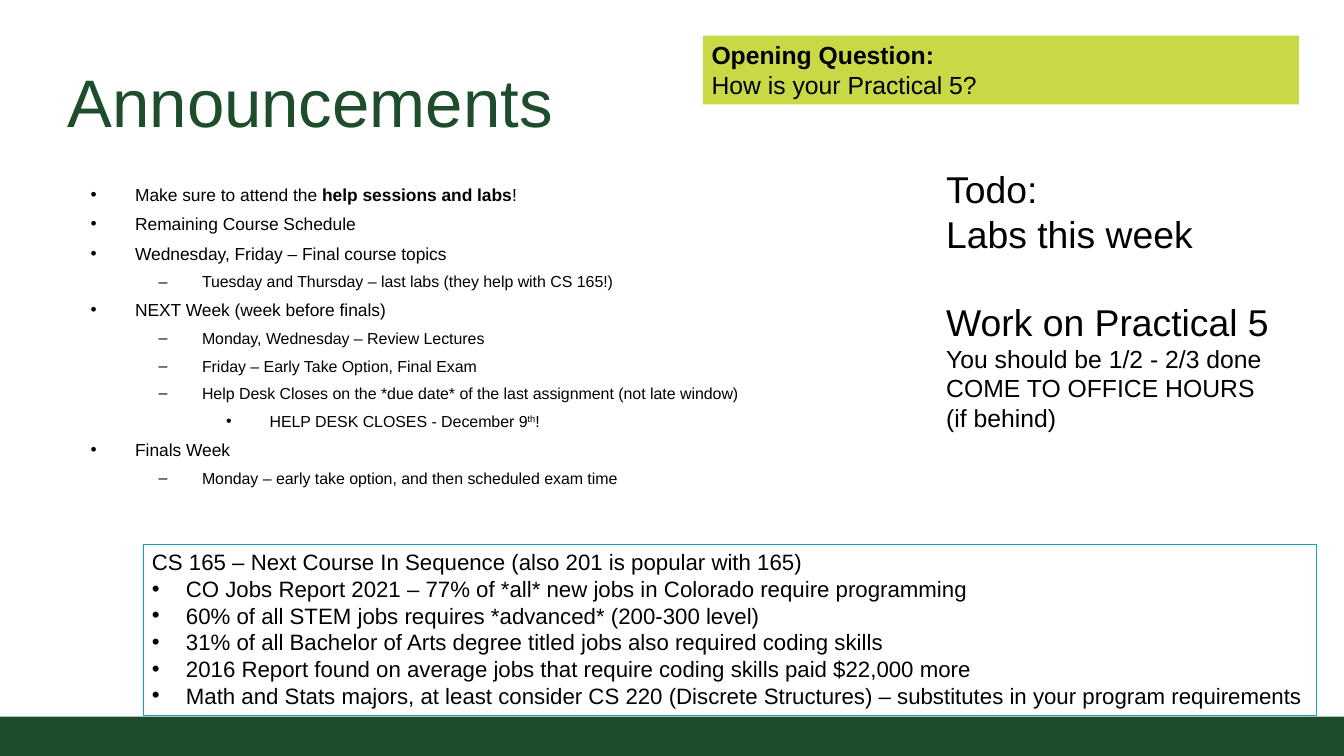
import pptx
import pptx.dml.color
import pptx.enum.shapes
import pptx.enum.text
import pptx.oxml.ns
import lxml.etree
from pptx.util import Cm

GREEN, LIME, TEAL, BLACK = "1E4D2B", "C9D845", "12A3B6", "000000"
WIDE, HIGH = 38.38, 21.59

# Bullet, left margin, indent and text size for each level
LEVELS = [("•", 1.93, -1.27, 14.1), ("–", 3.84, -1.24, 12.9),
          ("•", 5.77, -1.24, 12.9)]

# Level and text pieces; each piece may carry a style
NEWS = [
    (0, ["Make sure to attend the ", ("help sessions and labs", "bold"), "!"]),
    (0, ["Remaining Course Schedule"]),
    (0, ["Wednesday, Friday – Final course topics"]),
    (1, ["Tuesday and Thursday – last labs (they help with CS 165!)"]),
    (0, ["NEXT Week (week before finals)"]),
    (1, ["Monday, Wednesday – Review Lectures"]),
    (1, ["Friday – Early Take Option, Final Exam"]),
    (1, ["Help Desk Closes on the *due date* of the last assignment "
         "(not late window)"]),
    (2, ["HELP DESK CLOSES - December 9", ("th", "super"), "!"]),
    (0, ["Finals Week"]),
    (1, ["Monday – early take option, and then scheduled exam time"]),
]

# Text, size and space before
TODO = [
    ("Todo:", 30.2, 0),
    ("Labs this week", 30.2, 0),
    ("Work on Practical 5", 30.2, 35),
    ("You should be 1/2 - 2/3 done", 20, 0),
    ("COME TO OFFICE HOURS \v(if behind)", 20, 0),
]

JOBS = [
    "CO Jobs Report 2021 – 77% of *all* new jobs in Colorado require programming",
    "60% of all STEM jobs requires *advanced* (200-300 level)",
    "31% of all Bachelor of Arts degree titled jobs also required coding skills",
    "2016 Report found on average jobs that require coding skills paid $22,000 more",
    "Math and Stats majors, at least consider CS 220 (Discrete Structures) – "
    "substitutes in your program requirements",
]


def color(code):
    return pptx.dml.color.RGBColor.from_string(code)


def style(run, size, code=BLACK, bold=False):
    font = run.font
    font.name, font.size, font.bold = "Arial", pptx.util.Pt(size), bold
    font.color.rgb = color(code)


def bullet(para, char, left, indent):
    props = para._p.get_or_add_pPr()
    props.set("marL", str(Cm(left)))
    props.set("indent", str(Cm(indent)))
    qn = pptx.oxml.ns.qn
    tint = lxml.etree.SubElement(props, qn("a:buClr"))
    lxml.etree.SubElement(tint, qn("a:srgbClr")).set("val", BLACK)
    lxml.etree.SubElement(props, qn("a:buFont")).set("typeface", "Arial")
    lxml.etree.SubElement(props, qn("a:buChar")).set("char", char)


def line(frame, pieces, size, gap=0, mark=None):
    """Write one paragraph, using the first one while it is empty."""
    first = frame.paragraphs[0]
    para = frame.add_paragraph() if first.runs else first
    para.alignment = pptx.enum.text.PP_ALIGN.LEFT
    if para is not first:
        para.space_before = pptx.util.Pt(gap)
    if mark:
        bullet(para, *mark)
    for piece in pieces:
        text, kind = (piece, "") if isinstance(piece, str) else piece
        if len(pieces) == 1:
            para.text = text
        else:
            para.add_run().text = text
        for run in para.runs if len(pieces) == 1 else para.runs[-1:]:
            style(run, size, bold=kind == "bold")
            if kind == "super":
                run._r.get_or_add_rPr().set("baseline", "30000")


def inset(frame, gap):
    frame.margin_left = frame.margin_right = Cm(gap)
    frame.margin_top = frame.margin_bottom = Cm(gap)


def note(slide, left, top, width, height):
    box = slide.shapes.add_textbox(Cm(left), Cm(top), Cm(width), Cm(height))
    box.text_frame.word_wrap = True
    return box.text_frame


def panel(slide, left, top, width, height, fill=None, edge=None):
    shape = slide.shapes.add_shape(
        pptx.enum.shapes.MSO_SHAPE.RECTANGLE,
        Cm(left), Cm(top), Cm(width), Cm(height))
    shape.shadow.inherit = False
    if fill:
        shape.fill.solid()
        shape.fill.fore_color.rgb = color(fill)
    else:
        shape.fill.background()
    if edge:
        shape.line.color.rgb = color(edge)
        shape.line.width = pptx.util.Pt(0.75)
    else:
        shape.line.fill.background()
    frame = shape.text_frame
    frame.word_wrap = True
    frame.vertical_anchor = pptx.enum.text.MSO_ANCHOR.TOP
    return frame


def head(slide, text):
    title = slide.shapes.title
    title.left, title.top = Cm(1.75), Cm(1.68)
    title.width, title.height = Cm(15.67), Cm(2.54)
    frame = title.text_frame
    frame.text = text
    frame.auto_size = pptx.enum.text.MSO_AUTO_SIZE.NONE
    frame.vertical_anchor = pptx.enum.text.MSO_ANCHOR.BOTTOM
    inset(frame, 0.18)
    para = frame.paragraphs[0]
    para.alignment = pptx.enum.text.PP_ALIGN.LEFT
    style(para.runs[0], 54.4, GREEN)


def main():
    deck = pptx.Presentation()
    deck.slide_width, deck.slide_height = Cm(WIDE), Cm(HIGH)
    slide = deck.slides.add_slide(deck.slide_layouts[5])

    # Footer bar and title
    panel(slide, 0, 20.47, WIDE, HIGH - 20.47, fill=GREEN)
    head(slide, "Announcements")

    # Announcement list
    news = note(slide, 1.75, 5.08, 24.18, 9.19)
    inset(news, 0.18)
    for level, pieces in NEWS:
        *mark, size = LEVELS[level]
        line(news, pieces, size, 6.8, mark)

    # Todo list
    todo = note(slide, 26.77, 4.62, 10.82, 8)
    for text, size, gap in TODO:
        line(todo, [text], size, gap)

    # Opening question
    ask = panel(slide, 20.07, 1.02, 17.02, 1.96, fill=LIME)
    line(ask, [("Opening Question:", "bold")], 20)
    line(ask, ["How is your Practical 5?"], 20)

    # Next course and job facts
    jobs = panel(slide, 4.09, 15.54, 33.5, 4.88, edge=TEAL)
    line(jobs, ["CS 165 – Next Course In Sequence (also 201 is popular with 165)"], 18)
    for fact in JOBS:
        line(jobs, [fact], 18, mark=("•", 0.97, -0.97))

    deck.save("out.pptx")


if __name__ == "__main__":
    main()
